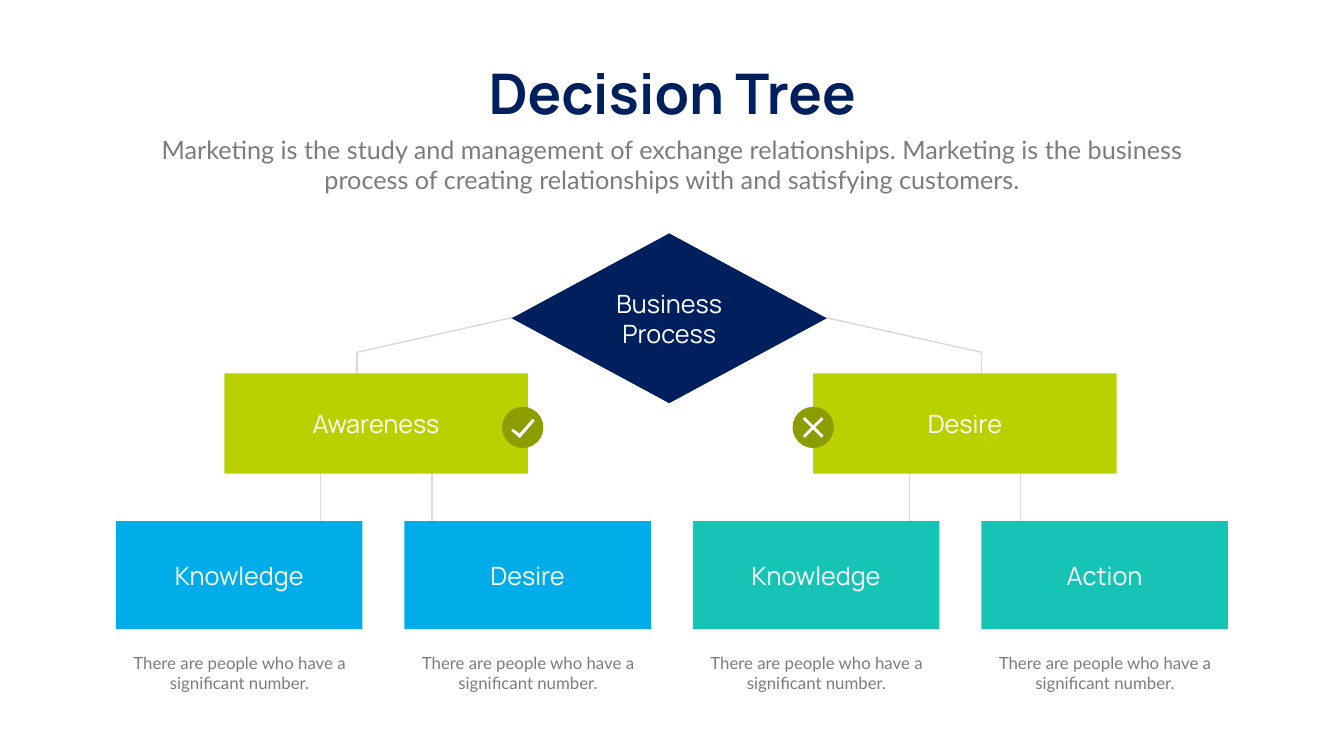
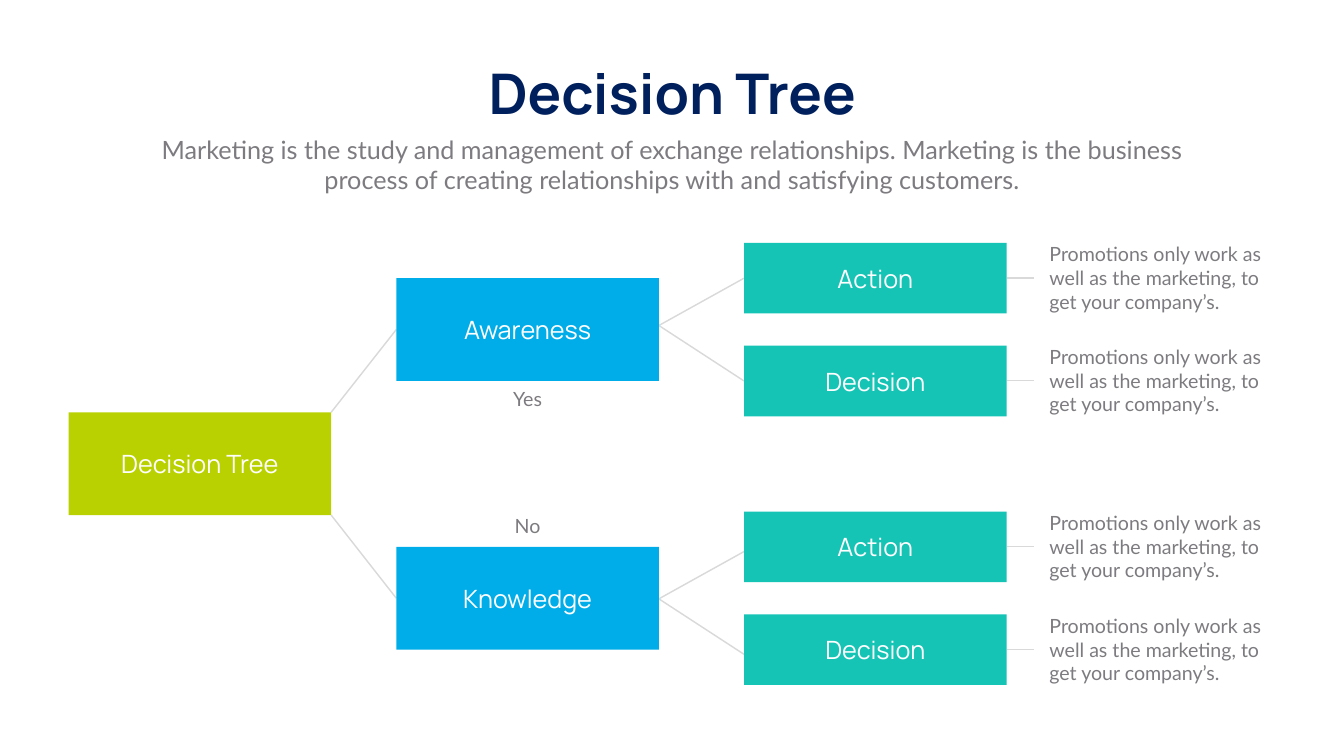
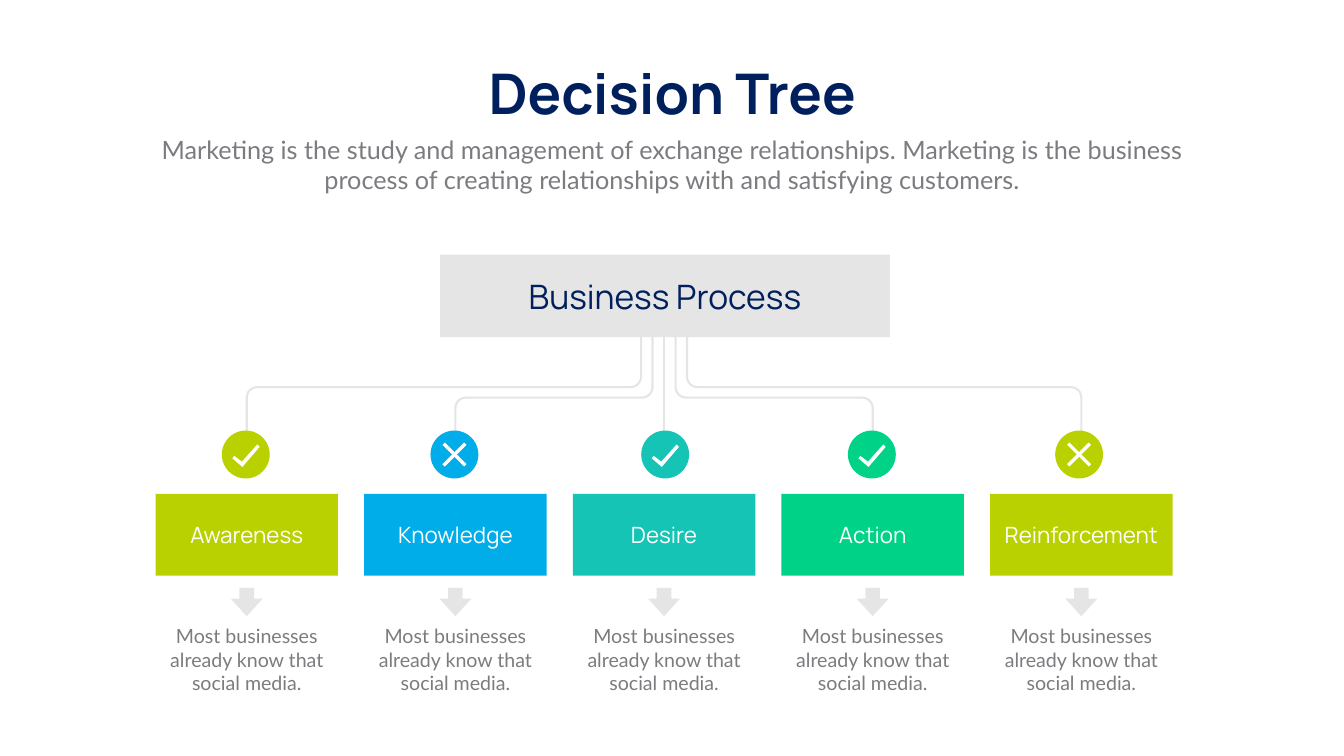
import math

from pptx import Presentation
from pptx import util as u
from pptx.dml.color import RGBColor
from pptx.enum import shapes, text
from pptx.oxml.xmlchemy import OxmlElement

NAVY = RGBColor(0x00, 0x20, 0x5D)
GRAY = RGBColor(0x7D, 0x7B, 0x7F)
WHITE = RGBColor(0xFF, 0xFF, 0xFF)
LIME = RGBColor(0xB9, 0xD1, 0x00)
OLIVE = RGBColor(0x8B, 0x9D, 0x00)
BLUE = RGBColor(0x00, 0xAD, 0xE9)
TEAL = RGBColor(0x16, 0xC4, 0xB6)
GREEN = RGBColor(0x00, 0xD2, 0x87)
LINE_GRAY = RGBColor(0xD9, 0xD9, 0xD9)
PALE_GRAY = RGBColor(0xE5, 0xE5, 0xE5)

TITLE = {"name": "Manrope", "size": u.Pt(80), "bold": True}
SUBTITLE = {"name": "Lato", "size": u.Pt(36)}
LABEL = {"name": "Manrope", "size": u.Pt(36)}
SMALL_LABEL = {"name": "Manrope", "size": u.Pt(32)}
LARGE_LABEL = {"name": "Manrope", "size": u.Pt(48)}
CAPTION = {"name": "Lato", "size": u.Pt(28)}
SMALL_CAPTION = {"name": "Lato", "size": u.Pt(24)}

RECTANGLE = shapes.MSO_SHAPE.RECTANGLE
CENTER = text.PP_ALIGN.CENTER
LEFT = text.PP_ALIGN.LEFT


def write(shape, words, style, color=GRAY, align=CENTER, anchor=text.MSO_ANCHOR.TOP, wrap=True):
    frame = shape.text_frame
    frame.word_wrap = wrap
    frame.vertical_anchor = anchor
    frame.text = words
    paragraph = frame.paragraphs[0]
    paragraph.alignment = align
    for attribute, value in style.items():
        setattr(paragraph.font, attribute, value)
    paragraph.font.color.rgb = color


def add_box(slide, kind, left, top, width, height, fill, words=None, style=LABEL, color=WHITE):
    shape = slide.shapes.add_shape(kind, *map(u.Pt, (left, top, width, height)))
    shape.shadow.inherit = False
    shape.fill.solid()
    shape.fill.fore_color.rgb = fill
    shape.line.fill.background()
    if words:
        write(shape, words, style, color, anchor=text.MSO_ANCHOR.MIDDLE)
    return shape


presentation = Presentation()
presentation.slide_width = u.Pt(1919.5)
presentation.slide_height = u.Pt(1080)

slides = []
for number in range(3):
    slide = presentation.slides.add_slide(presentation.slide_layouts[5])
    title = slide.shapes.title
    title.left, title.top, title.width, title.height = map(u.Pt, (675.4, 80.6, 569.5, 104.4))
    write(title, "Decision Tree", TITLE, NAVY, wrap=False)
    title.text_frame.auto_size = text.MSO_AUTO_SIZE.SHAPE_TO_FIT_TEXT
    subtitle = slide.shapes.add_textbox(*map(u.Pt, (210.2, 187.9, 1499, 94.3)))
    write(subtitle, "Marketing is the study and management of exchange relationships. Marketing is the "
          "business process of creating relationships with and satisfying customers.", SUBTITLE)
    slides.append(slide)
flow_slide, branch_slide, process_slide = slides

BRANCHES = [(397.4, 465, "Awareness", "Yes", 549.4), (781.2, 855.5, "Knowledge", "No", 730)]
LEAVES = [(-50.4, "Action"), (96.5, "Decision")]
COLUMN_CENTER, COLUMN_STEP = 948.4, 298

lines = [(flow_slide, x, 653.8, x, 823) for x in (458, 617, 1299, 1457.3)]
for elbow_x, diamond_x in ((509.8, 825.8), (1401.8, 1085)):
    lines.append((flow_slide, elbow_x, 503.3, diamond_x, 432.7))
    lines.append((flow_slide, elbow_x, 503.3, elbow_x, 596.9))
for (top, join_y, *_), root_y in zip(BRANCHES, (589, 735.9)):
    lines.append((branch_slide, 473, root_y, 566, top + 73.4))
    for rise in (-67.6, 79.3):
        lines.append((branch_slide, 941, join_y, 1062.7, join_y + rise))
    for offset, _ in LEAVES:
        leaf_y = top + offset + 50
        lines.append((branch_slide, 1437.8, leaf_y, 1476.7, leaf_y))
lines.append((process_slide, COLUMN_CENTER, 450, COLUMN_CENTER, 650))

for slide, *ends in lines:
    connector = slide.shapes.add_connector(shapes.MSO_CONNECTOR.STRAIGHT, *map(u.Pt, ends))
    connector.line.color.rgb = PALE_GRAY if slide is process_slide else LINE_GRAY
    connector.line.width = u.Pt(3 if slide is process_slide else 2)
    connector._element.spPr.append(OxmlElement("a:effectLst"))

RADIUS = 15
ANGLES = [math.radians(15 * step) for step in range(7)]
for column, start, rail_y in ((-2, -32.8, 553), (-1, -16.5, 568), (1, 16.5, 568), (2, 32.8, 553)):
    side = math.copysign(1, column)
    start_x = COLUMN_CENTER + start
    end_x = COLUMN_CENTER + COLUMN_STEP * column
    points = [(start_x + side * RADIUS * (1 - math.cos(a)), rail_y - RADIUS * (1 - math.sin(a)))
              for a in ANGLES]
    points += [(end_x - side * RADIUS * (1 - math.sin(a)), rail_y + RADIUS * (1 - math.cos(a)))
               for a in ANGLES]
    points.append((end_x, 650))
    builder = process_slide.shapes.build_freeform(u.Pt(start_x), u.Pt(450))
    builder.add_line_segments([(u.Pt(x), u.Pt(y)) for x, y in points], close=False)
    pipe = builder.convert_to_shape()
    pipe.shadow.inherit = False
    pipe.fill.background()
    pipe.line.color.rgb = PALE_GRAY
    pipe.line.width = u.Pt(3)

add_box(flow_slide, shapes.MSO_SHAPE.DIAMOND, 730.8, 333.4, 450, 242.6, NAVY, "Business Process")
for left, words in ((320.4, "Awareness"), (1161.4, "Desire")):
    add_box(flow_slide, RECTANGLE, left, 533.5, 433.4, 143.3, LIME, words)
for index, (words, fill) in enumerate(
        [("Knowledge", BLUE), ("Desire", BLUE), ("Knowledge", TEAL), ("Action", TEAL)]):
    left = 165.6 + 412 * index
    add_box(flow_slide, RECTANGLE, left, 744.5, 352, 154, fill, words)
    caption = flow_slide.shapes.add_textbox(*map(u.Pt, (left - 2.5, 928.8, 358, 65.5)))
    write(caption, "There are people who have a significant number.", SMALL_CAPTION)

add_box(branch_slide, RECTANGLE, 97.9, 589, 375, 146.9, LIME, "Decision Tree")
for top, _, words, answer, answer_top in BRANCHES:
    add_box(branch_slide, RECTANGLE, 566, top, 375, 146.9, BLUE, words)
    answer_box = branch_slide.shapes.add_textbox(*map(u.Pt, (697.7, answer_top, 111.6, 41)))
    write(answer_box, answer, CAPTION)
    for offset, leaf in LEAVES:
        add_box(branch_slide, RECTANGLE, 1062.7, top + offset, 375, 100.8, TEAL, leaf)
        caption = branch_slide.shapes.add_textbox(
            *map(u.Pt, (1491.8, top + offset - 4.3, 329, 108.7)))
        write(caption, "Promotions only work as well as the marketing, to get your company’s.",
              CAPTION, align=LEFT)

add_box(process_slide, RECTANGLE, 628.6, 363.6, 642.2, 118.1, PALE_GRAY,
        "Business Process", LARGE_LABEL, NAVY)
marks = [(flow_slide, "check", 746.6, 610.6, 59, OLIVE),
         (flow_slide, "cross", 1161.4, 610.6, 59, OLIVE)]
for index, (words, fill, mark, mark_x) in enumerate([
        ("Awareness", LIME, "check", 351), ("Knowledge", BLUE, "cross", 649),
        ("Desire", TEAL, "check", 950), ("Action", GREEN, "check", 1245.2),
        ("Reinforcement", LIME, "cross", 1541.2)]):
    center = COLUMN_CENTER + COLUMN_STEP * (index - 2)
    add_box(process_slide, RECTANGLE, center - 130.3, 705.6, 260.6, 116.6, fill, words, SMALL_LABEL)
    arrow = add_box(process_slide, shapes.MSO_SHAPE.DOWN_ARROW, center - 22.7, 840, 45.4, 40.3, PALE_GRAY)
    arrow.adjustments[0], arrow.adjustments[1] = 0.46, 0.62
    caption = process_slide.shapes.add_textbox(*map(u.Pt, (center - 130.3, 887.8, 260.6, 108.7)))
    write(caption, "Most businesses already know that social media.", CAPTION)
    marks.append((process_slide, mark, mark_x, 649.3, 68.4, fill))

CHECK = [(0.24, -0.21), (0.29, -0.16), (-0.07, 0.26), (-0.28, 0.08), (-0.24, 0.03), (-0.08, 0.15)]
for slide, mark, x, y, size, fill in marks:
    add_box(slide, shapes.MSO_SHAPE.OVAL, x - size / 2, y - size / 2, size, size, fill)
    if mark == "check":
        corners = [(u.Pt(x + dx * size), u.Pt(y + dy * size)) for dx, dy in CHECK]
        builder = slide.shapes.build_freeform(*corners[0])
        builder.add_line_segments(corners[1:])
        tick = builder.convert_to_shape()
        tick.shadow.inherit = False
        tick.fill.solid()
        tick.fill.fore_color.rgb = WHITE
        tick.line.fill.background()
    else:
        width, height = 0.64 * size, 0.07 * size
        for angle in (315, 45):
            bar = add_box(slide, RECTANGLE, x - width / 2, y - height / 2, width, height, WHITE)
            bar.rotation = angle

presentation.save("out.pptx")
